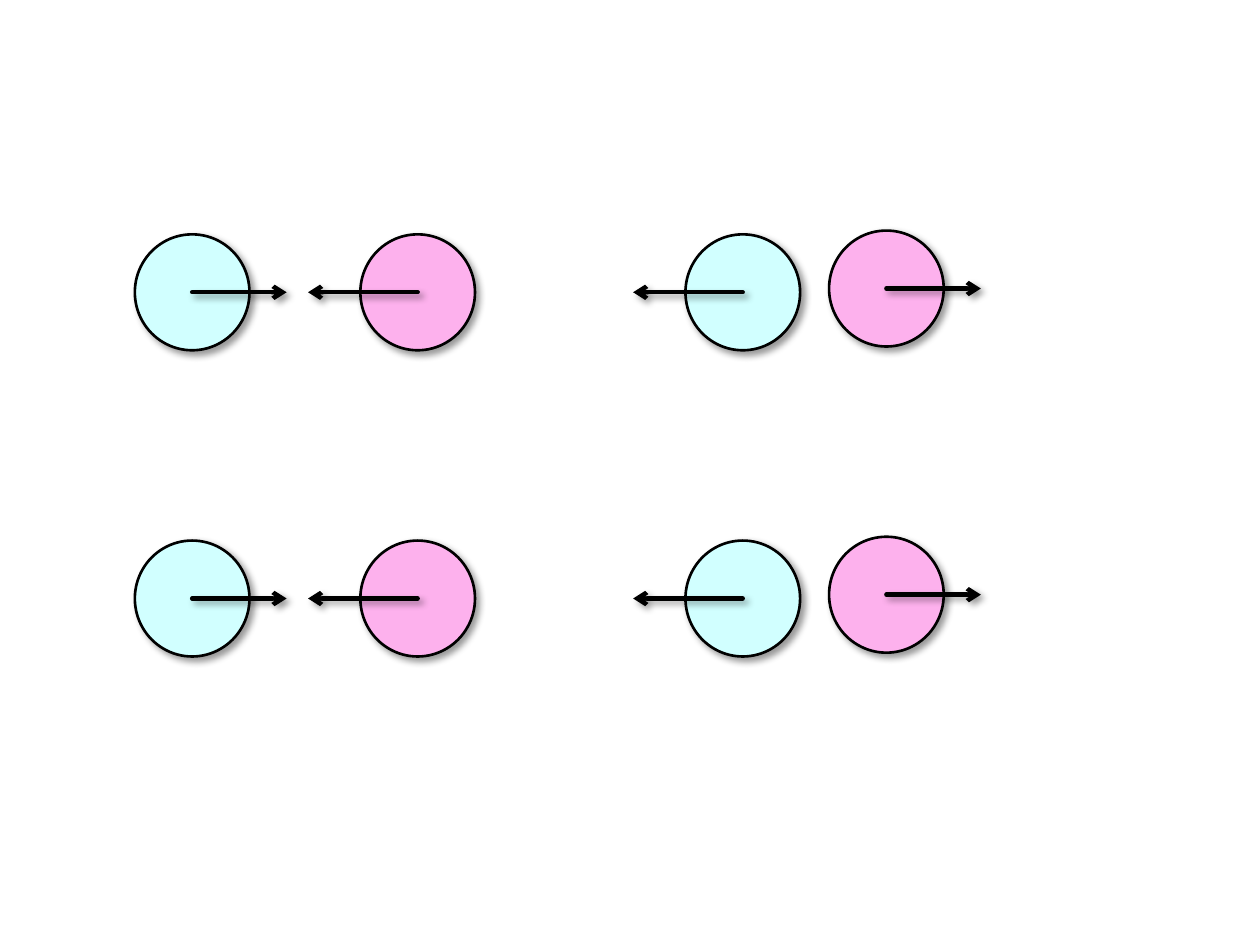
from lxml import etree
from pptx import Presentation
from pptx.dml.color import RGBColor
from pptx.enum.shapes import MSO_CONNECTOR as CONN, MSO_SHAPE as SHAPE
from pptx.oxml.ns import qn
from pptx.util import Inches, Pt

BLACK = RGBColor(0x00, 0x00, 0x00)
CYAN = RGBColor(0xD1, 0xFF, 0xFF)
PINK = RGBColor(0xFD, 0xB1, 0xED)

BALL_W, BALL_H = 0.91, 0.92
ROW_TOPS = (1.86, 4.29)
BALLS = (
    (1.07, 0, CYAN, 0.75),
    (2.86, 0, PINK, -0.87),
    (5.44, 0, CYAN, -0.87),
    (6.58, -0.03, PINK, 0.75),
)


def add_shadow(s):
    effects = etree.SubElement(s._element.spPr, qn("a:effectLst"))
    shadow = etree.SubElement(
        effects, qn("a:outerShdw"), blurRad=str(Pt(4)), dist=str(Pt(3)),
        dir=str(45 * 60000), algn="tl", rotWithShape="0")
    color = etree.SubElement(shadow, qn("a:srgbClr"), val=str(BLACK))
    etree.SubElement(color, qn("a:alpha"), val="40000")


def set_line(s, width):
    s.line.color.rgb = BLACK
    s.line.width = Pt(width)


def add_ball(slide, left, top, color):
    s = slide.shapes.add_shape(SHAPE.OVAL, Inches(left), Inches(top),
                               Inches(BALL_W), Inches(BALL_H))
    s.fill.solid()
    s.fill.fore_color.rgb = color
    set_line(s, 1.5)
    add_shadow(s)


def add_arrow(slide, x, y, reach):
    s = slide.shapes.add_connector(CONN.STRAIGHT, Inches(x + reach), Inches(y),
                                   Inches(x), Inches(y))
    set_line(s, 2.5)
    ln = s.line._get_or_add_ln()
    ln.set("cap", "rnd")
    etree.SubElement(ln, qn("a:headEnd"), type="arrow")
    add_shadow(s)


def main():
    prs = Presentation()
    prs.slide_width, prs.slide_height = Inches(10), Inches(7.5)
    slide = prs.slides.add_slide(prs.slide_layouts[6])
    for row_top in ROW_TOPS:
        for left, shift, color, reach in BALLS:
            top = row_top + shift
            add_ball(slide, left, top, color)
            add_arrow(slide, left + BALL_W / 2, top + BALL_H / 2, reach)
    prs.save("out.pptx")


if __name__ == "__main__":
    main()
